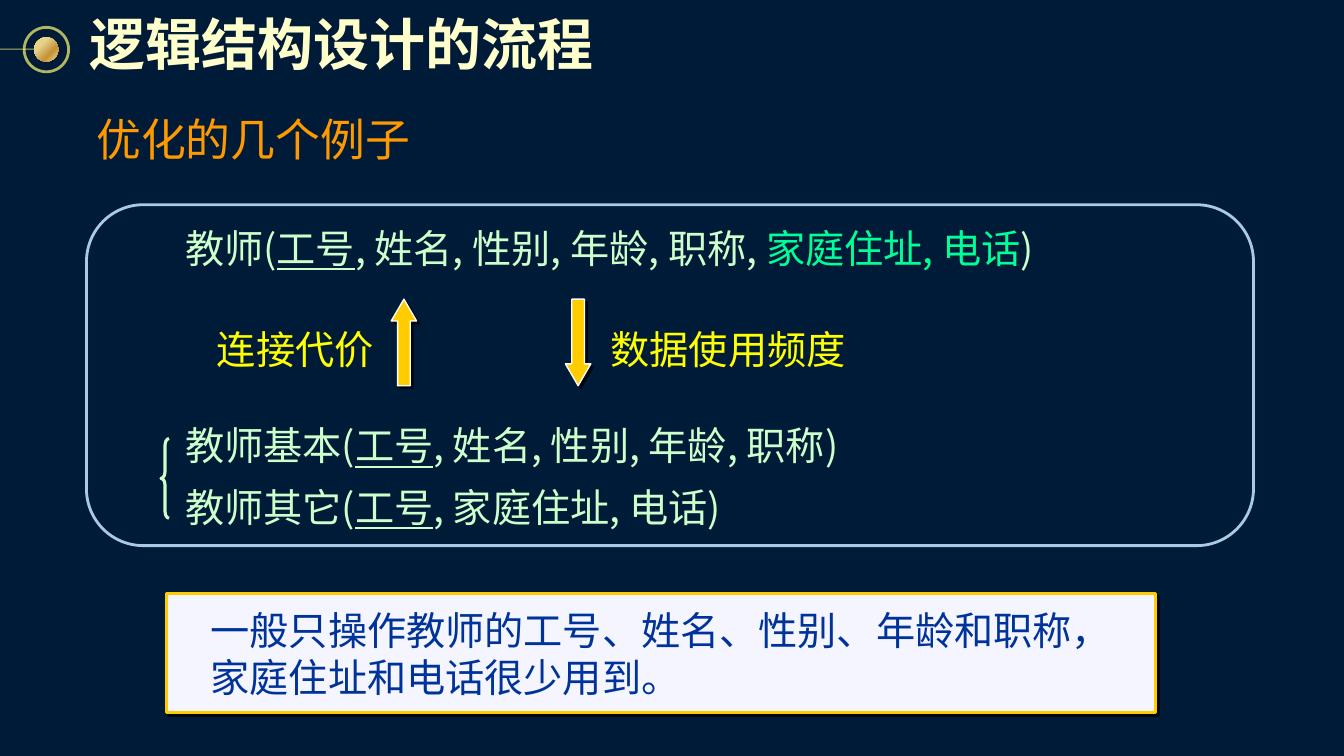
from lxml.etree import SubElement
from pptx import Presentation
from pptx.dml.color import RGBColor
from pptx.enum.shapes import MSO_CONNECTOR, MSO_SHAPE as Preset
from pptx.enum.text import MSO_ANCHOR as Anchor, PP_ALIGN as Align
from pptx.oxml import parse_xml
from pptx.oxml.ns import nsdecls, qn
from pptx.util import Cm, Pt

COLORS = {
    "night": "001B37", "cream": "FFFFCC", "orange": "FF9900", "mint": "CCFFCC",
    "green": "00FF99", "yellow": "FFFF00", "gold": "FFCC00", "white": "FFFFFF",
    "paper": "F5F5FF", "blue": "003399", "frame": "AACAE2", "ring": "FCF873",
    "shadow": "000514",
}
GOLD_STOPS = [(0, "FCD860"), (31, "E6D38F"), (68, "C69135"), (100, "F1DF97")]
CJK_FONT = "Noto Sans CJK SC"


def rgb(name):
    return RGBColor.from_string(COLORS[name])


def add_drop_shadow(effects):
    """Put a hard shadow, down and to the right, into an effect list."""
    shadow = SubElement(effects, qn("a:outerShdw"), blurRad="0", dist=str(Pt(2.8)),
                        dir="2700000", algn="ctr", rotWithShape="0")
    SubElement(shadow, qn("a:srgbClr"), val=COLORS["shadow"])


class SlideBuilder:
    def __init__(self, slide):
        self.slide = slide
        slide.background.fill.solid()
        slide.background.fill.fore_color.rgb = rgb("night")

    def outline(self, line, color, width, alpha=None):
        line.color.rgb = rgb(color)
        line.width = Pt(width)
        if alpha:
            for element in line._ln.iter(qn("a:srgbClr")):
                SubElement(element, qn("a:alpha"), val=str(alpha * 1000))

    def shape(self, preset, left, top, width, height, fill=None, line=None,
              weight=1, alpha=None, shadow=False, adjust=()):
        shape = self.slide.shapes.add_shape(
            preset, Cm(left), Cm(top), Cm(width), Cm(height))
        shape.shadow.inherit = False
        for index, value in enumerate(adjust):
            shape.adjustments[index] = value
        if fill:
            shape.fill.solid()
            shape.fill.fore_color.rgb = rgb(fill)
        else:
            shape.fill.background()
        if line:
            self.outline(shape.line, line, weight, alpha)
        else:
            shape.line.fill.background()
        if shadow:
            add_drop_shadow(shape._element.spPr.find(qn("a:effectLst")))
        return shape

    def gold_dot(self, left, top, size):
        dot = self.shape(Preset.OVAL, left, top, size, size)
        dot.rotation = 270
        stops = "".join(f'<a:gs pos="{pos * 1000}"><a:srgbClr val="{color}"/></a:gs>'
                        for pos, color in GOLD_STOPS)
        gradient = parse_xml(
            f'<a:gradFill {nsdecls("a")} rotWithShape="1"><a:gsLst>{stops}</a:gsLst>'
            '<a:lin ang="8100000" scaled="1"/></a:gradFill>')
        properties = dot._element.spPr
        properties.replace(properties.find(qn("a:noFill")), gradient)

    def rule(self, start, end, y, color, width, alpha):
        rule = self.slide.shapes.add_connector(
            MSO_CONNECTOR.STRAIGHT, Cm(start), Cm(y), Cm(end), Cm(y))
        self.outline(rule.line, color, width, alpha)
        SubElement(rule._element.spPr, qn("a:effectLst"))

    def fill_text(self, frame, paragraphs, size=28, pitch=34, after=0, font=CJK_FONT,
                  bold=False, shadow=False, align=Align.LEFT, anchor=Anchor.MIDDLE,
                  inset=0, indent=0, wrap=True):
        """Fill a frame with paragraphs, each a list of (text, colour, underline)."""
        frame.word_wrap = wrap
        frame.vertical_anchor = anchor
        frame.margin_left = Cm(inset + indent)
        frame.margin_right = frame.margin_top = frame.margin_bottom = Cm(inset)
        for index, parts in enumerate(paragraphs):
            paragraph = frame.add_paragraph() if index else frame.paragraphs[0]
            paragraph.alignment = align
            paragraph.space_after = Pt(after)
            if pitch:
                paragraph.line_spacing = Pt(pitch)
            for text, color, underline in parts:
                run = paragraph.add_run()
                run.text = text
                run.font.size = Pt(size)
                run.font.bold = bold
                run.font.underline = underline
                run.font.color.rgb = rgb(color)
                run.font.name = font
                properties = run._r.get_or_add_rPr()
                properties.set("lang", "zh-CN")
                SubElement(properties, qn("a:ea"), typeface=CJK_FONT)
                if shadow:
                    effects = parse_xml(f'<a:effectLst {nsdecls("a")}/>')
                    add_drop_shadow(effects)
                    properties.find(qn("a:solidFill")).addnext(effects)

    def text(self, left, top, width, height, paragraphs, **style):
        box = self.slide.shapes.add_textbox(Cm(left), Cm(top), Cm(width), Cm(height))
        self.fill_text(box.text_frame, paragraphs, **style)


def relation(name, *fields):
    """Runs of a relation schema whose underlined key is the staff number."""
    return [(name + "(", "mint", False), ("工号", "mint", True), *fields,
            (")", "mint", False)]


def main():
    deck = Presentation()
    deck.slide_width, deck.slide_height = Cm(33.87), Cm(19.05)
    page = SlideBuilder(deck.slides.add_slide(deck.slide_layouts[6]))

    page.shape(Preset.OVAL, 0.61, 0.69, 1.12, 1.12, line="ring", weight=2, alpha=70)
    page.rule(0, 0.86, 1.24, "ring", 0.75, 70)
    page.gold_dot(0.86, 0.94, 0.61)
    page.text(2.06, 0.03, 13.23, 2.11, [[("逻辑结构设计的流程", "cream", False)]],
              size=40, pitch=None, font="Arial", bold=True, shadow=True, inset=0.2,
              wrap=False)
    page.text(2.18, 2.69, 14.2, 1.63, [[("优化的几个例子", "orange", False)]],
              size=32, pitch=None, inset=0.25)

    page.shape(Preset.ROUNDED_RECTANGLE, 2.18, 5.16, 29.41, 8.59, line="frame", weight=2)
    teacher = relation("教师", (", 姓名, 性别, 年龄, 职称, ", "mint", False),
                       ("家庭住址, 电话", "green", False))
    basics = relation("教师基本", (", 姓名, 性别, 年龄, 职称", "mint", False))
    others = relation("教师其它", (", 家庭住址, 电话", "mint", False))
    for top, relations in ((5.63, [teacher]), (10.61, [basics, others])):
        page.text(4.67, top, 21.59, 1.35, relations, after=9.8, anchor=Anchor.TOP)
    page.shape(Preset.LEFT_BRACE, 4.06, 11.05, 0.2, 2.01, line="mint", weight=2.25,
               adjust=(0.84, 0.5))

    for arrow, arrow_left, reason, reason_left, reason_width in (
            (Preset.UP_ARROW, 9.86, "连接代价", 5.46, 3.96),
            (Preset.DOWN_ARROW, 14.25, "数据使用频度", 15.39, 5.92)):
        page.shape(arrow, arrow_left, 7.54, 0.64, 2.18, fill="gold", line="white",
                   shadow=True, adjust=(0.5, 0.86))
        page.text(reason_left, 8.18, reason_width, 1.19, [[(reason, "yellow", False)]],
                  align=Align.CENTER, wrap=False)

    conclusion = page.shape(Preset.RECTANGLE, 4.19, 14.96, 24.94, 3, fill="paper",
                            line="gold", weight=2.25, shadow=True)
    page.fill_text(conclusion.text_frame,
                   [[("一般只操作教师的工号、姓名、性别、年龄和职称，", "blue", False)],
                    [("家庭住址和电话很少用到。", "blue", False)]], indent=1.12)

    deck.save("out.pptx")


if __name__ == "__main__":
    main()
